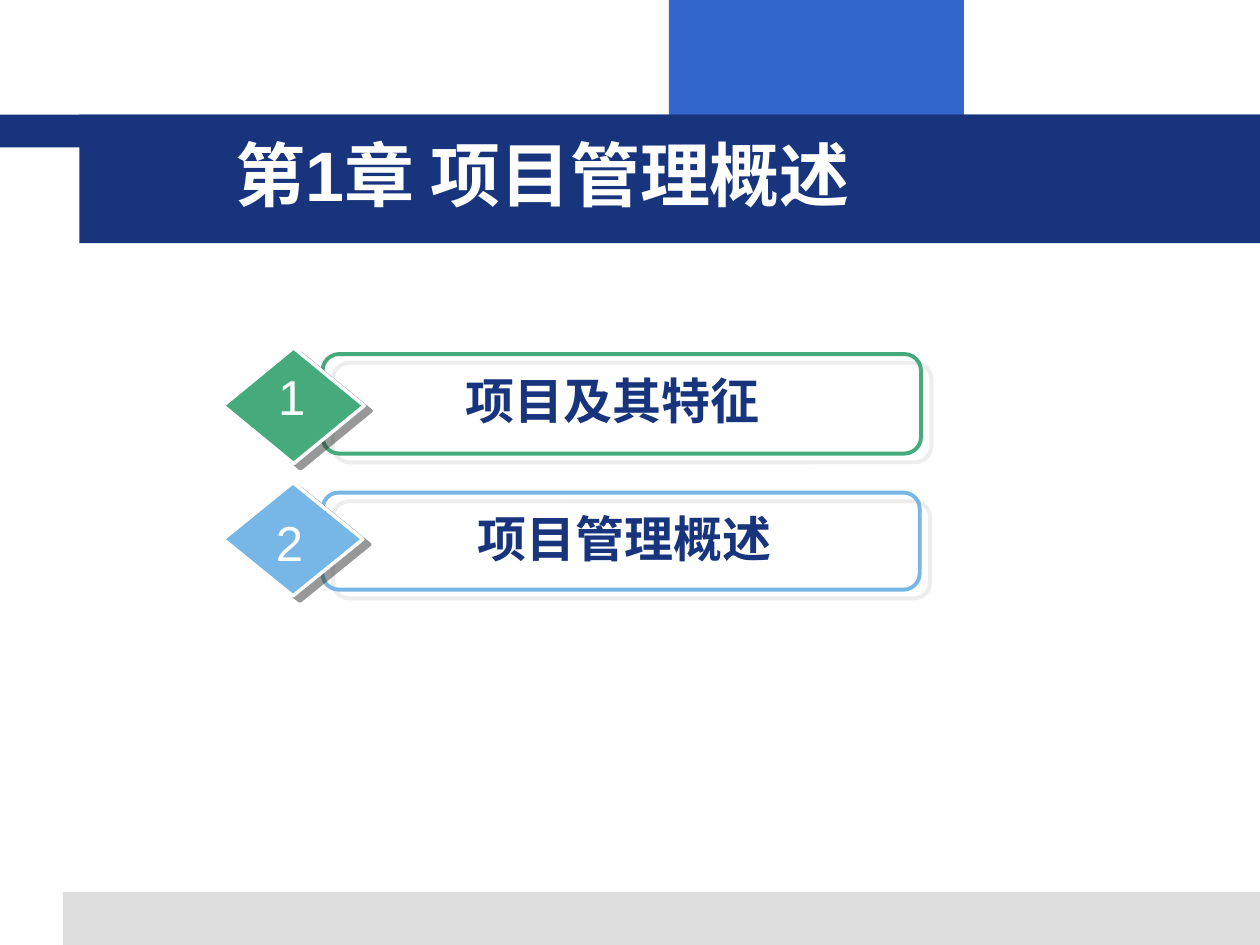
from lxml import etree
from pptx import Presentation
from pptx import util as u
from pptx.dml.color import RGBColor
from pptx.enum import shapes, text
from pptx.oxml import ns

COLORS = {
    "navy": "17347D", "blue": "3366CC", "gray": "DDDDDD", "white": "FFFFFF",
    "green": "45AB7D", "sky": "77B7E7", "dark": "333333",
}
Kind = shapes.MSO_SHAPE
Align = text.PP_ALIGN


class Deck:
    font = "Arial"

    def __init__(self):
        self.prs = Presentation()
        self.prs.slide_width = u.Inches(10)
        self.prs.slide_height = u.Inches(7.5)
        self.slide = self.prs.slides.add_slide(self.prs.slide_layouts[5])

    def color(self, name):
        return RGBColor.from_string(COLORS[name])

    def shape(self, kind, box, fill=None, line=None, width=1, shadow=None):
        item = self.slide.shapes.add_shape(kind, *map(u.Inches, box))
        item.shadow.inherit = False
        if fill:
            item.fill.solid()
            item.fill.fore_color.rgb = self.color(fill)
        else:
            item.fill.background()
        if line:
            item.line.color.rgb = self.color(line)
            item.line.width = u.Pt(width)
        else:
            item.line.fill.background()
        if shadow:
            self.cast_shadow(item, *shadow)
        return item

    def cast_shadow(self, item, color, distance, angle):
        effects = item.element.spPr.find(ns.qn("a:effectLst"))
        outer = etree.SubElement(
            effects, ns.qn("a:outerShdw"), blurRad="0", dist=str(u.Pt(distance)),
            dir=str(angle * 60000), algn="ctr", rotWithShape="0")
        tint = etree.SubElement(outer, ns.qn("a:srgbClr"), val=COLORS[color])
        etree.SubElement(tint, ns.qn("a:alpha"), val="50000")

    def add_runs(self, frame, runs, align, wrap=True):
        frame.word_wrap = wrap
        frame.vertical_anchor = text.MSO_ANCHOR.TOP
        frame.auto_size = text.MSO_AUTO_SIZE.SHAPE_TO_FIT_TEXT
        paragraph = frame.paragraphs[0]
        paragraph.alignment = align
        for words, size, color, bold in runs:
            run = paragraph.add_run()
            run.text = words
            run.font.name = self.font
            run.font.size = u.Pt(size)
            run.font.bold = bold
            run.font.color.rgb = self.color(color)
        return paragraph

    def label(self, box, runs, wrap=True):
        item = self.slide.shapes.add_textbox(*map(u.Inches, box))
        self.add_runs(item.text_frame, runs, Align.CENTER, wrap)

    def title(self, box, runs):
        item = self.slide.shapes.title
        item.left, item.top, item.width, item.height = map(u.Inches, box)
        paragraph = self.add_runs(item.text_frame, runs, Align.LEFT)
        paragraph.space_before = u.Pt(11.2)
        item.element.getparent().append(item.element)

    def entry(self, accent, frame_box, diamond_box):
        frame = self.shape(Kind.ROUNDED_RECTANGLE, frame_box, line=accent,
                           width=2.24, shadow=("gray", 7.8, 40))
        frame.adjustments[0] = 0.167
        self.shape(Kind.DIAMOND, diamond_box, accent, "white", 2,
                   shadow=("dark", 5, 37))


deck = Deck()

for box, fill in [
    ((5.31, 0, 2.34, 0.92), "blue"),
    ((0.5, 7.08, 9.5, 0.42), "gray"),
    ((0, 0.91, 10, 0.26), "navy"),
    ((0.63, 0.91, 9.37, 1.02), "navy"),
]:
    deck.shape(Kind.RECTANGLE, box, fill)

deck.entry("green", (2.56, 2.81, 4.75, 0.79), (1.77, 2.76, 1.12, 0.92))
deck.label((3.03, 2.89, 3.75, 0.57), [("项目及其特征 ", 28, "navy", True)])
deck.label((1.93, 2.86, 0.77, 0.57), [("1", 28, "white", False)])

deck.entry("sky", (2.56, 3.91, 4.74, 0.77), (1.77, 3.83, 1.11, 0.9))
deck.label((3.11, 3.99, 3.75, 0.57),
           [("项目管理概述", 28, "navy", True), (" ", 18, "navy", False)])
deck.label((2.09, 4.02, 0.41, 0.57), [("2", 28, "white", False)], wrap=False)

deck.title((1.77, 0.99, 7.09, 0.77),
           [("第1章 项目管理概述", 40, "white", True), (" ", 18, "navy", False)])

deck.prs.save("out.pptx")
